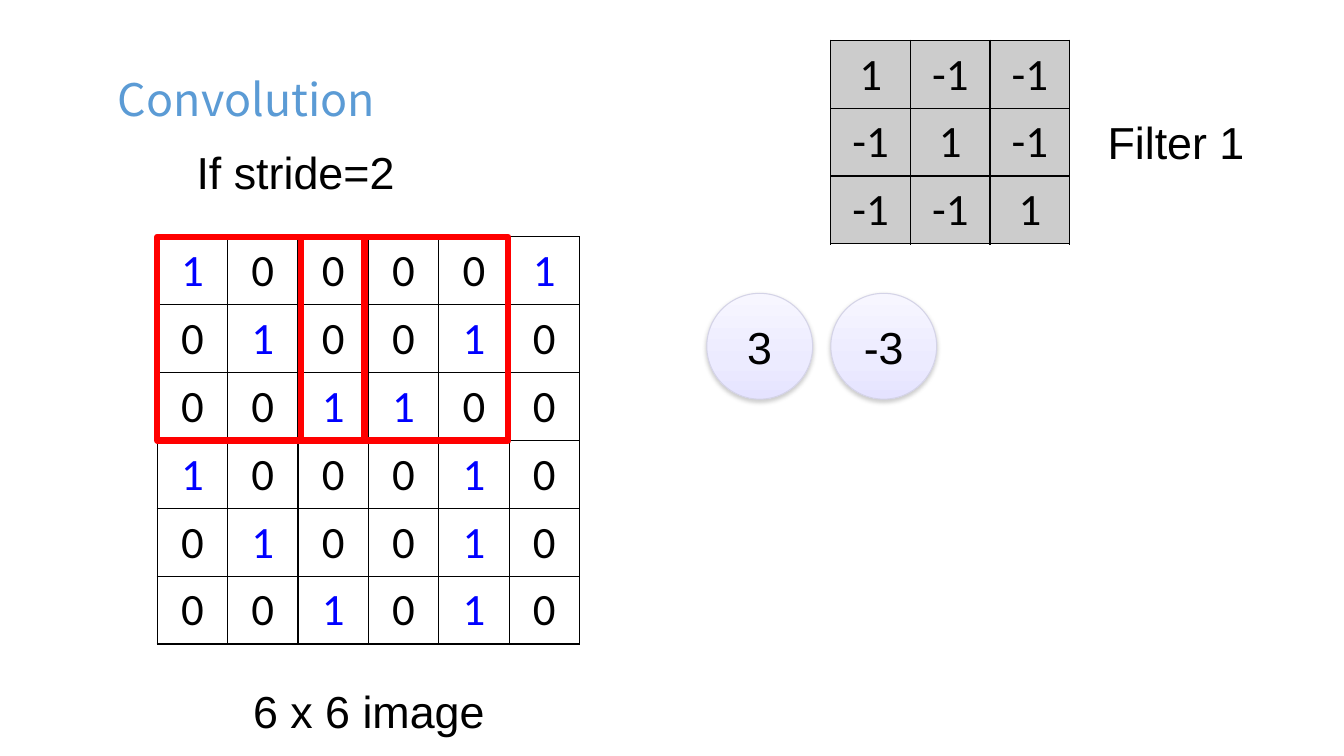
from dataclasses import dataclass

from lxml import etree
from pptx import Presentation
from pptx import util as u
from pptx.dml.color import RGBColor
from pptx.enum import shapes, text
from pptx.oxml import ns


@dataclass(frozen=True)
class Theme:
    title: str = "5B9BD5"
    ink: str = "000000"
    one: str = "0000FF"
    filter_fill: str = "CCCCCC"
    window: str = "FF0000"
    circle_line: str = "D4D3E7"
    circle_stops: tuple = ((0, "F7F6FF"), (65, "ECEBFF"), (100, "E5E3FF"))
    shadow: str = "808080"
    size: int = 32
    title_font: str = "Noto Sans CJK TC"
    body_font: str = "Arial"
    cell_font: str = "Calibri"


THEME = Theme()
CENTER = text.PP_ALIGN.CENTER
IMAGE = ["100001", "010010", "001100", "100010", "010010", "001010"]
FILTER = [[1 if row == column else -1 for column in range(3)] for row in range(3)]
IMAGE_BOX = (1.56, 2.35, 4.19, 4.04)
FILTER_BOX = (8.24, 0.4, 2.37, 2)
STRIDE = 2
WINDOW = 3


def inches(box):
    return [u.Inches(length) for length in box]


def write(frame, words, font=THEME.body_font, color=THEME.ink, align=CENTER):
    para = frame.paragraphs[0]
    para.alignment = align
    span = para.add_run()
    span.text = words
    for name, value in {"name": font, "size": u.Pt(THEME.size)}.items():
        setattr(span.font, name, value)
    span.font.color.rgb = RGBColor.from_string(color)


def set_frame(frame, margin=0.07, **values):
    values = {"word_wrap": True, "margin_left": u.Inches(0.13),
              "margin_right": u.Inches(0.13), "margin_top": u.Inches(margin),
              "margin_bottom": u.Inches(margin), **values}
    for name, value in values.items():
        setattr(frame, name, value)


def add_title(page, box, words):
    frame = page.shapes.add_textbox(*inches(box)).text_frame
    set_frame(frame, 0.13, vertical_anchor=text.MSO_ANCHOR.MIDDLE)
    write(frame, words, THEME.title_font, THEME.title, text.PP_ALIGN.LEFT)


def add_label(page, box, words, align=CENTER):
    frame = page.shapes.add_textbox(*inches(box)).text_frame
    set_frame(frame, auto_size=text.MSO_AUTO_SIZE.SHAPE_TO_FIT_TEXT)
    write(frame, words, align=align)


def add_borders(cell):
    properties = cell._tc.get_or_add_tcPr()
    for index, side in enumerate("LRTB"):
        properties.insert(index, etree.fromstring(
            f'<a:ln{side} {ns.nsdecls("a")} w="12700"><a:solidFill>'
            f'<a:srgbClr val="{THEME.ink}"/></a:solidFill></a:ln{side}>'))


def add_matrix(page, box, values, fill=None, one_color=THEME.ink):
    """Place a bordered grid of numbers, with its ones in one_color."""
    rows, columns = len(values), len(values[0])
    table = page.shapes.add_table(rows, columns, *inches(box)).table
    table.first_row = table.horz_banding = False
    for column in table.columns:
        column.width = u.Inches(box[2] / columns)
    for row, numbers in zip(table.rows, values):
        row.height = u.Inches(box[3] / rows)
        for cell, number in zip(row.cells, numbers):
            for side in ("left", "right", "top", "bottom"):
                margin = 0.13 if side in ("left", "right") else 0.07
                setattr(cell, f"margin_{side}", u.Inches(margin))
            if fill:
                cell.fill.solid()
                cell.fill.fore_color.rgb = RGBColor.from_string(fill)
            else:
                cell.fill.background()
            add_borders(cell)
            color = one_color if str(number) == "1" else THEME.ink
            write(cell.text_frame, str(number), THEME.cell_font, color)


def add_shape(page, kind, box, line, width):
    shape = page.shapes.add_shape(kind, *inches(box))
    shape.shadow.inherit = False
    shape.line.color.rgb = RGBColor.from_string(line)
    shape.line.width = u.Pt(width)
    return shape


def add_window(page, box):
    add_shape(page, shapes.MSO_SHAPE.RECTANGLE, box, THEME.window, 4.5).fill.background()


def add_result(page, box, words):
    """Place a shaded circle that holds one convolution result."""
    circle = add_shape(page, shapes.MSO_SHAPE.OVAL, box, THEME.circle_line, 0.75)
    stops = "".join(f'<a:gs pos="{place * 1000}"><a:srgbClr val="{color}"/></a:gs>'
                    for place, color in THEME.circle_stops)
    properties = circle._element.spPr
    properties.find(ns.qn("a:prstGeom")).addnext(etree.fromstring(
        f'<a:gradFill {ns.nsdecls("a")} rotWithShape="1"><a:gsLst>{stops}</a:gsLst>'
        '<a:lin ang="5400000" scaled="0"/></a:gradFill>'))
    properties.find(ns.qn("a:effectLst")).append(etree.fromstring(
        f'<a:outerShdw {ns.nsdecls("a")} blurRad="{u.Pt(3.1)}" dist="{u.Pt(1.6)}" '
        f'dir="5400000" rotWithShape="0"><a:srgbClr val="{THEME.shadow}">'
        '<a:alpha val="38000"/></a:srgbClr></a:outerShdw>'))
    set_frame(circle.text_frame, vertical_anchor=text.MSO_ANCHOR.MIDDLE)
    write(circle.text_frame, words)


def add_image_region(page, box):
    left, top, width, height = box
    add_matrix(page, box, IMAGE, one_color=THEME.one)
    add_label(page, (left + 0.39, top + 4.36, 3.42, 0.67), "6 x 6 image")
    step = width / len(IMAGE)
    for move in range(2):
        add_window(page, (left + move * (STRIDE * step + 0.03), top, WINDOW * step - 0.04,
                          height * WINDOW / len(IMAGE)))
    add_label(page, (left + 0.26, top - 0.98, 2.76, 0.67), "If stride=2",
              text.PP_ALIGN.LEFT)


def add_filter_region(page, box):
    left, top, width, height = box
    add_matrix(page, box, FILTER, fill=THEME.filter_fill)
    add_label(page, (left + width, top + (height - 0.67) / 2, 2.11, 0.67), "Filter 1")


def add_results_region(page, box):
    left, top, pitch, size = box
    for index, words in enumerate(("3", "-3")):
        add_result(page, (left + index * pitch, top, size, size), words)


def main():
    deck = Presentation()
    deck.slide_width, deck.slide_height = inches((13.33, 7.5))
    page = deck.slides.add_slide(deck.slide_layouts[6])
    add_title(page, (1.04, 0.56, 12.19, 0.84), "Convolution")
    add_image_region(page, IMAGE_BOX)
    add_filter_region(page, FILTER_BOX)
    add_results_region(page, (7.01, 2.91, 1.23, 1.05))
    deck.save("out.pptx")


if __name__ == "__main__":
    main()
